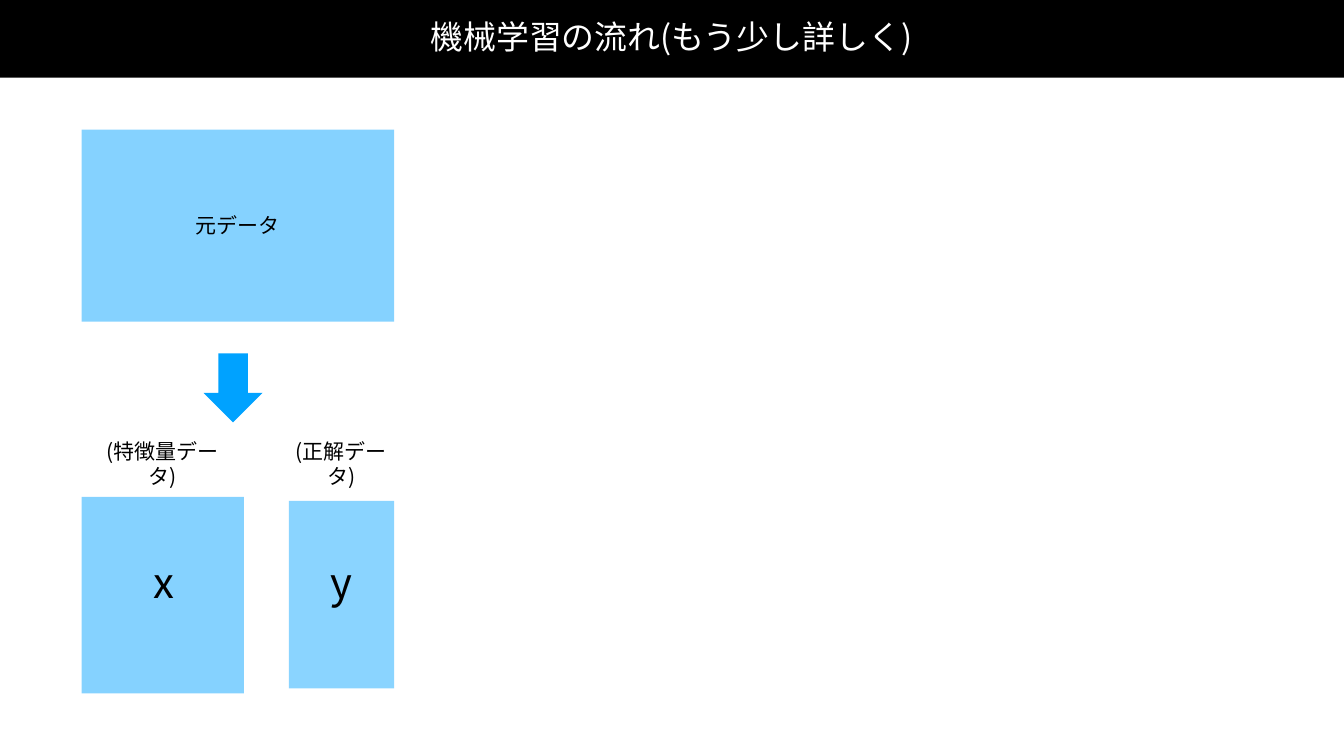
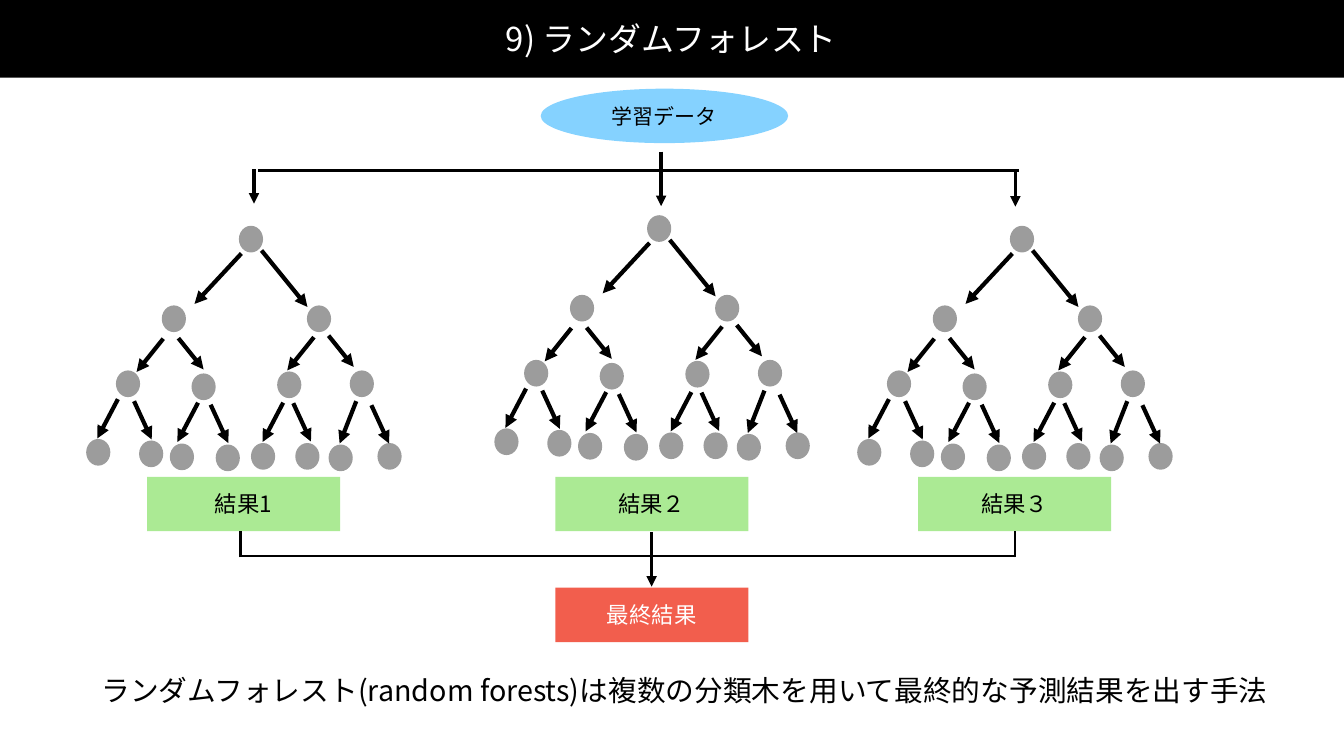
import pptx
import pptx.util
import pptx.dml.color
import pptx.enum.shapes
import pptx.enum.text
import pptx.oxml.ns
import lxml.etree

RGBColor = pptx.dml.color.RGBColor
SHAPE = pptx.enum.shapes.MSO_SHAPE
ANCHOR = pptx.enum.text.MSO_ANCHOR
inch = pptx.util.Inches
qn = pptx.oxml.ns.qn

FONT = "Noto Sans CJK JP"
BLACK = RGBColor(0x00, 0x00, 0x00)
WHITE = RGBColor(0xFF, 0xFF, 0xFF)
BLUE = RGBColor(0x00, 0xA2, 0xFF)
GREEN = RGBColor(0x61, 0xD8, 0x36)
RED = RGBColor(0xEE, 0x23, 0x0C)
SLIDE_W, SLIDE_H = 26.67, 15
BAND_H = 1.55
INSET = 0.06

FLOW_TITLE = "機械学習の流れ(もう少し詳しく)"
FLOW_LEFT, FLOW_RIGHT = 1.62, 7.82
DATA_BLOCKS = [
    (FLOW_LEFT, 9.86, 3.22, 3.9, 48),
    (FLOW_RIGHT - 2.09, 9.94, 2.09, 3.72, 46),
    (FLOW_LEFT, 2.57, FLOW_RIGHT - FLOW_LEFT, 3.81, 48),
]
DATA_LABELS = [
    ("(特徴量データ)", 1.78, 8.89, 2.89, True),
    ("(正解データ)", 5.54, 8.89, 2.47, True),
    ("元データ", 3.82, 4.16, 1.8, False),
]
VARIABLES = [("x", 2.67), ("y", 6.2)]

FOREST_TITLE = "9) ランダムフォレスト"
SOURCE = "学習データ"
RESULTS = [("結果1", 2.92), ("結果２", 11.02), ("結果３", 18.22)]
FINAL = "最終結果"
SUMMARY = "ランダムフォレスト(random forests)は複数の分類木を用いて最終的な予測結果を出す手法"
RESULT_W, RESULT_H = 3.83, 1.08

NODE_W, NODE_H = 0.48, 0.53
ROOT = (4.74, 4.48)
TREE_SHIFTS = [(0, 0), (8.1, -0.21), (15.3, 0)]
STEPS = {
    "top right": (0.91, 1.12), "top left": (-0.93, 1),
    "middle right": (0.5, 0.62), "middle left": (-0.53, 0.66),
    "leaf right": (0.35, 0.76), "leaf left": (-0.41, 0.78),
    "steep left": (-0.33, 0.84),
}
BRANCHES = [
    ("top right", (5.19, 4.97), (6.09, 6.06)),
    ("top left", (4.79, 5.03), (3.21, 6.06)),
    ("middle right", (3.54, 6.71), (3.8, 7.41)),
    ("middle left", (3.24, 6.72), (2.3, 7.35)),
    ("middle right", (6.52, 6.66), (6.94, 7.35)),
    ("middle left", (6.23, 6.69), (5.5, 7.37)),
    ("leaf right", (2.66, 7.96), (2.76, 8.74)),
    ("leaf left", (2.34, 7.92), (1.71, 8.71)),
    ("leaf right", (4.18, 8.03), (4.28, 8.82)),
    ("leaf left", (3.93, 7.99), (3.37, 8.8)),
    ("leaf right", (5.82, 8), (5.86, 8.79)),
    ("leaf left", (5.62, 7.99), (4.98, 8.79)),
    ("leaf right", (7.37, 8.04), (7.49, 8.79)),
    ("steep left", (7.07, 7.96), (6.52, 8.82)),
]
FLOW_ARROWS = [
    (13.12, 3.01, 13.12, 4.09),
    (5.04, 3.36, 5.04, 4.04),
    (20.15, 3.41, 20.15, 4.1),
    (12.93, 10.56, 12.93, 11.64),
]
RAILS = [
    (4.78, 11.03, 20.16, 11.03),
    (5.12, 3.39, 20.23, 3.39),
    (4.77, 11.06, 4.77, 10.53),
    (20.14, 11.06, 20.14, 10.53),
]


def write(sp, text, size, color=BLACK, inset=INSET, wrap=True, anchor=ANCHOR.MIDDLE):
    tf = sp.text_frame
    tf.word_wrap = wrap
    tf.auto_size = pptx.enum.text.MSO_AUTO_SIZE.NONE
    tf.vertical_anchor = anchor
    tf.margin_left = tf.margin_right = inch(inset)
    tf.margin_top = tf.margin_bottom = inch(inset)
    tf.text = text
    p = tf.paragraphs[0]
    p.alignment = pptx.enum.text.PP_ALIGN.CENTER
    p.font.name = FONT
    p.font.size = pptx.util.Pt(size)
    p.font.color.rgb = color
    p.font.bold = False
    latin = p.font._element.find(qn("a:latin"))
    ea = lxml.etree.Element(qn("a:ea"), typeface=FONT)
    latin.addnext(ea)


def add_box(shapes, kind, x, y, w, h, color, alpha=100):
    sp = shapes.add_shape(kind, inch(x), inch(y), inch(w), inch(h))
    sp.shadow.inherit = False
    sp.fill.solid()
    sp.fill.fore_color.rgb = color
    sp.line.fill.background()
    if alpha < 100:
        clr = sp.fill._xPr.find(qn("a:solidFill"))[0]
        lxml.etree.SubElement(clr, qn("a:alpha"), val=str(alpha * 1000))
    return sp


def add_text(s, text, x, y, w, h, size, **style):
    tb = s.shapes.add_textbox(inch(x), inch(y), inch(w), inch(h))
    write(tb, text, size, **style)


def add_line(shapes, x1, y1, x2, y2, width, arrow=False):
    cx = shapes.add_connector(pptx.enum.shapes.MSO_CONNECTOR.STRAIGHT,
                              inch(x1), inch(y1), inch(x2), inch(y2))
    cx.line.color.rgb = BLACK
    cx.line.width = pptx.util.Pt(width)
    if arrow:
        lxml.etree.SubElement(cx.line._get_or_add_ln(), qn("a:tailEnd"), type="triangle")
    lxml.etree.SubElement(cx._element.spPr, qn("a:effectLst"))


def add_title(s, text, y, h):
    add_box(s.shapes, SHAPE.RECTANGLE, 0, 0, SLIDE_W, BAND_H - 0.01, BLACK)
    title = s.shapes.title
    title.left, title.top, title.width, title.height = map(inch, (3.62, y, 19.41, h))
    title.fill.solid()
    title.fill.fore_color.rgb = BLACK
    write(title, text, 47, WHITE)
    s.shapes._spTree.append(title._element)


def add_tree(s, dx, dy):
    shapes = s.shapes.add_group_shape().shapes

    def add_node(x, y):
        add_box(shapes, SHAPE.OVAL, x + dx, y + dy, NODE_W, NODE_H, BLACK, 39)

    add_node(*ROOT)
    for step, (x, y), child in BRANCHES:
        step_x, step_y = STEPS[step]
        add_line(shapes, x + dx, y + dy, x + dx + step_x, y + dy + step_y, 6, True)
        add_node(*child)


def build_flow(s):
    for x, y, w, h, alpha in DATA_BLOCKS:
        add_box(s.shapes, SHAPE.RECTANGLE, x, y, w, h, BLUE, alpha)
    for text, x, y, w, wrap in DATA_LABELS:
        add_text(s, text, x, y, w, 0.62, 30, wrap=wrap)
    add_box(s.shapes, SHAPE.DOWN_ARROW, 4.04, 7.01, 1.17, 1.37, BLUE)
    for text, x in VARIABLES:
        add_text(s, text, x, 10.98, 1.15, 1.11, 60, anchor=ANCHOR.TOP)
    add_title(s, FLOW_TITLE, 0.34, 0.77)


def build_forest(s):
    add_box(s.shapes, SHAPE.OVAL, 10.73, 1.76, 4.91, 1.08, BLUE, 48)
    add_text(s, SOURCE, 12.08, 2.04, 2.21, 0.53, 30, wrap=False)
    add_text(s, SUMMARY, 1.8, 13.34, 23.58, 0.69, 41, wrap=False)
    for shift in TREE_SHIFTS:
        add_tree(s, *shift)
    for text, x in RESULTS:
        sp = add_box(s.shapes, SHAPE.RECTANGLE, x, 9.46, RESULT_W, RESULT_H, GREEN, 53)
        write(sp, text, 32, inset=0)
    for ends in FLOW_ARROWS:
        add_line(s.shapes, *ends, 5, True)
    for ends in RAILS:
        add_line(s.shapes, *ends, 4)
    sp = add_box(s.shapes, SHAPE.RECTANGLE, RESULTS[1][1], 11.66, RESULT_W, RESULT_H, RED, 73)
    write(sp, FINAL, 32, WHITE, inset=0)
    add_title(s, FOREST_TITLE, 0.32, 0.9)


def main():
    prs = pptx.Presentation()
    prs.slide_width, prs.slide_height = inch(SLIDE_W), inch(SLIDE_H)
    for build in (build_flow, build_forest):
        build(prs.slides.add_slide(prs.slide_layouts[5]))
    prs.save("out.pptx")


if __name__ == "__main__":
    main()
